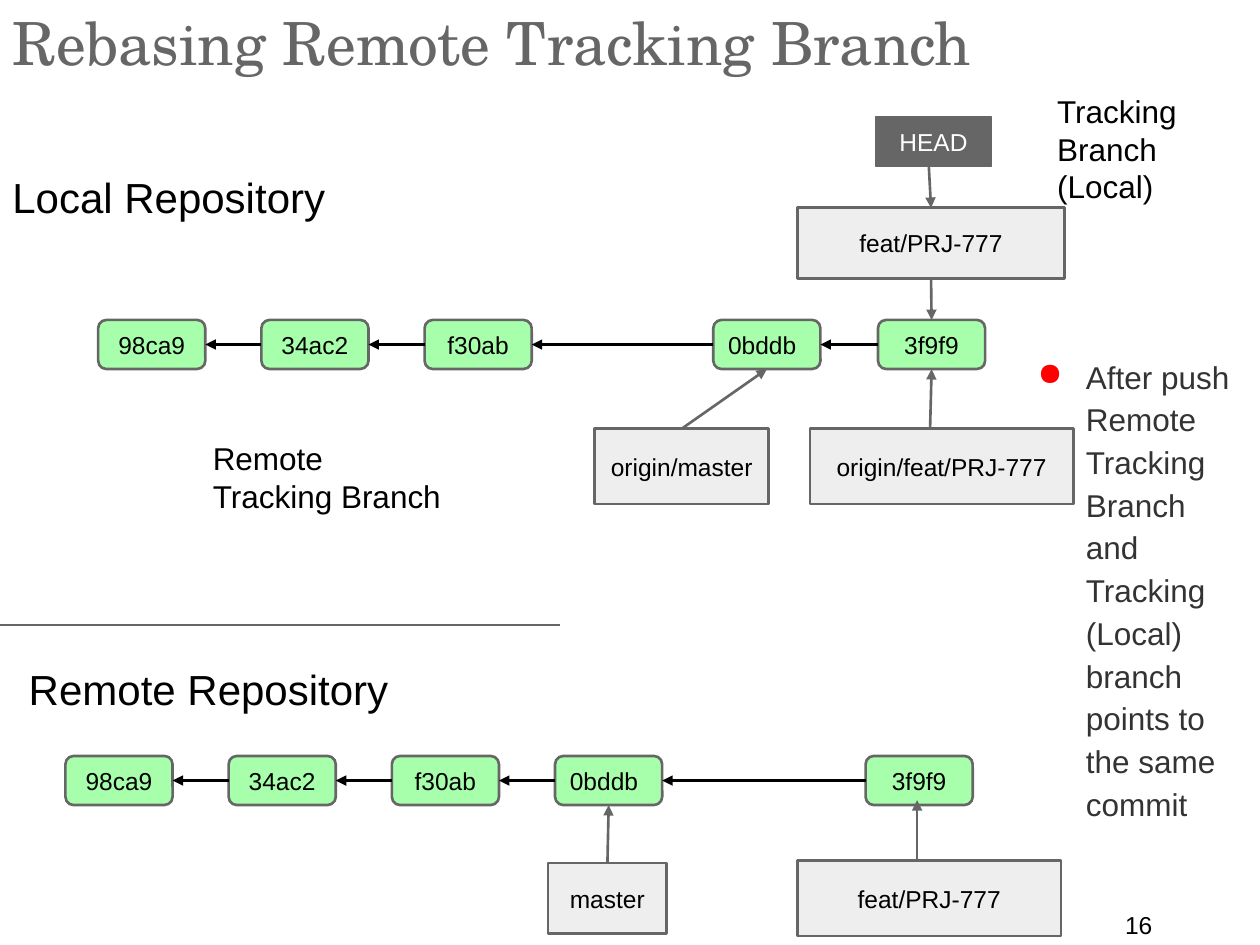
from dataclasses import dataclass
from typing import NamedTuple, Union

from lxml import etree
from pptx import Presentation
from pptx import util as u
from pptx.dml.color import RGBColor
from pptx.enum import shapes, text
from pptx.oxml import ns

GREY, BLACK, WHITE = "666666", "000000", "FFFFFF"
COMMIT_W, COMMIT_H, STEP = 2.16, 0.99, 3.29
TOP, LEFT, BOTTOM, RIGHT = range(4)


class Point(NamedTuple):
    x: float
    y: float


class Joint(NamedTuple):
    shape: object
    side: int


End = Union[Point, Joint]


@dataclass
class Box:
    label: str
    x: float
    y: float
    w: float
    h: float
    fill: str = "EEEEEE"
    color: str = BLACK
    line_width: float = 1.5
    kind: int = shapes.MSO_SHAPE.RECTANGLE
    align: int = text.PP_ALIGN.CENTER


@dataclass
class Label:
    words: str
    x: float
    y: float
    w: float
    h: float
    size: int
    color: str = BLACK
    font: str = "Arial"
    inset: float = 0.25


def rgb(value: str) -> RGBColor:
    return RGBColor.from_string(value)


def add_run(p, words: str, size: int, color: str, font: str = "Arial") -> None:
    r = p.add_run()
    r.text = words
    r.font.size = u.Pt(size)
    r.font.name = font
    r.font.color.rgb = rgb(color)


def set_insets(tf, vertical: float) -> None:
    tf.word_wrap = True
    tf.margin_left = tf.margin_right = u.Cm(0.25)
    tf.margin_top = tf.margin_bottom = u.Cm(vertical)


def add_box(s, box: Box):
    sp = s.shapes.add_shape(box.kind, u.Cm(box.x), u.Cm(box.y), u.Cm(box.w), u.Cm(box.h))
    sp.shadow.inherit = False
    sp.fill.solid()
    sp.fill.fore_color.rgb = rgb(box.fill)
    sp.line.color.rgb = rgb(GREY)
    sp.line.width = u.Pt(box.line_width)
    tf = sp.text_frame
    set_insets(tf, 0.25)
    tf.vertical_anchor = text.MSO_ANCHOR.MIDDLE
    p = tf.paragraphs[0]
    p.alignment = box.align
    add_run(p, box.label, 14, box.color)
    return sp


def add_label(s, label: Label):
    sp = s.shapes.add_textbox(u.Cm(label.x), u.Cm(label.y), u.Cm(label.w), u.Cm(label.h))
    set_insets(sp.text_frame, label.inset)
    p = sp.text_frame.paragraphs[0]
    add_run(p, label.words, label.size, label.color, label.font)
    return p


def add_line(s, start: End, end: End, color: str = GREY, arrow: bool = True) -> None:
    a, b = (Point(0, 0) if isinstance(e, Joint) else e for e in (start, end))
    line = s.shapes.add_connector(
        shapes.MSO_CONNECTOR.STRAIGHT, u.Cm(a.x), u.Cm(a.y), u.Cm(b.x), u.Cm(b.y))
    if isinstance(start, Joint):
        line.begin_connect(*start)
    if isinstance(end, Joint):
        line.end_connect(*end)
    line.line.color.rgb = rgb(color)
    line.line.width = u.Pt(1.5)
    if arrow:
        etree.SubElement(line.line._get_or_add_ln(), ns.qn("a:tailEnd"), type="triangle")
    etree.SubElement(line._element.spPr, ns.qn("a:effectLst"))


def add_history(s, y: float, commits: dict[str, float]) -> dict:
    history = {}
    for name, x in commits.items():
        align = text.PP_ALIGN.LEFT if name == "0bddb" else text.PP_ALIGN.CENTER
        history[name] = add_box(s, Box(
            name, x, y, COMMIT_W, COMMIT_H, "A7FFAB",
            kind=shapes.MSO_SHAPE.ROUNDED_RECTANGLE, align=align))
    nodes = list(history.values())
    for parent, child in zip(nodes, nodes[1:]):
        add_line(s, Joint(child, LEFT), Joint(parent, RIGHT), BLACK)
    return history


def add_bullet(p, mark: str, color: str) -> None:
    pPr = p._p.get_or_add_pPr()
    pPr.set("marL", str(u.Cm(1.27)))
    pPr.set("indent", str(u.Cm(-0.97)))
    bu_color = etree.SubElement(pPr, ns.qn("a:buClr"))
    etree.SubElement(bu_color, ns.qn("a:srgbClr"), val=color)
    etree.SubElement(pPr, ns.qn("a:buChar"), char=mark)
    p.line_spacing = 1.13


def main() -> None:
    prs = Presentation()
    prs.slide_width, prs.slide_height = u.Cm(25.4), u.Cm(19.05)
    s = prs.slides.add_slide(prs.slide_layouts[6])

    add_label(s, Label("Rebasing Remote Tracking Branch", 0, 0, 25.4, 1.52, 34,
                       GREY, "TeX Gyre Schola", 0.13))

    shared = ["98ca9", "34ac2", "f30ab"]
    local = add_history(s, 6.45, {
        **{name: 1.98 + STEP * i for i, name in enumerate(shared)},
        "0bddb": 14.38, "3f9f9": 17.7})
    remote = add_history(s, 15.24, {
        **{name: 1.32 + STEP * i for i, name in enumerate(shared + ["0bddb"])},
        "3f9f9": 17.45})

    add_box(s, Box("HEAD", 17.65, 2.36, 2.34, 0.99, GREY, WHITE, 0.75))
    tracking = add_box(s, Box("feat/PRJ-777", 16.08, 4.19, 5.38, 1.42))
    origin_master = add_box(s, Box("origin/master", 11.99, 8.64, 3.51, 1.52))
    add_box(s, Box("origin/feat/PRJ-777", 16.33, 8.64, 5.31, 1.52))
    master = add_box(s, Box("master", 11.05, 17.4, 2.39, 1.42))
    add_box(s, Box("feat/PRJ-777", 16.08, 17.35, 5.31, 1.52))

    add_line(s, Point(18.72, 3.28), Joint(tracking, TOP))
    add_line(s, Joint(tracking, BOTTOM), Joint(local["3f9f9"], TOP))
    add_line(s, Joint(origin_master, TOP), Joint(local["0bddb"], BOTTOM))
    add_line(s, Point(18.75, 8.61), Joint(local["3f9f9"], BOTTOM))
    add_line(s, Joint(master, TOP), Joint(remote["0bddb"], BOTTOM))
    add_line(s, Point(18.49, 17.32), Point(18.49, 16.13))
    add_line(s, Point(0, 12.6), Point(11.28, 12.6), arrow=False)

    for label in (
        Label("Local Repository", 0, 3.2, 7.42, 1.52, 24),
        Label("Remote Repository", 0.33, 13.13, 8.86, 1.52, 24),
        Label("Remote Tracking Branch", 4.04, 8.61, 5.16, 1.96, 18),
        Label("Tracking Branch (Local)", 21.06, 1.6, 4.34, 1.96, 18),
        Label("16", 22.43, 18.21, 2.34, 0.64, 14, inset=0.13),
    ):
        add_label(s, label)

    note = add_label(s, Label(
        "After push Remote Tracking Branch and Tracking (Local) branch points to the same commit",
        20.37, 6.86, 4.83, 11.99, 18, "333333"))
    add_bullet(note, "●", "FF0000")

    prs.save("out.pptx")


if __name__ == "__main__":
    main()
